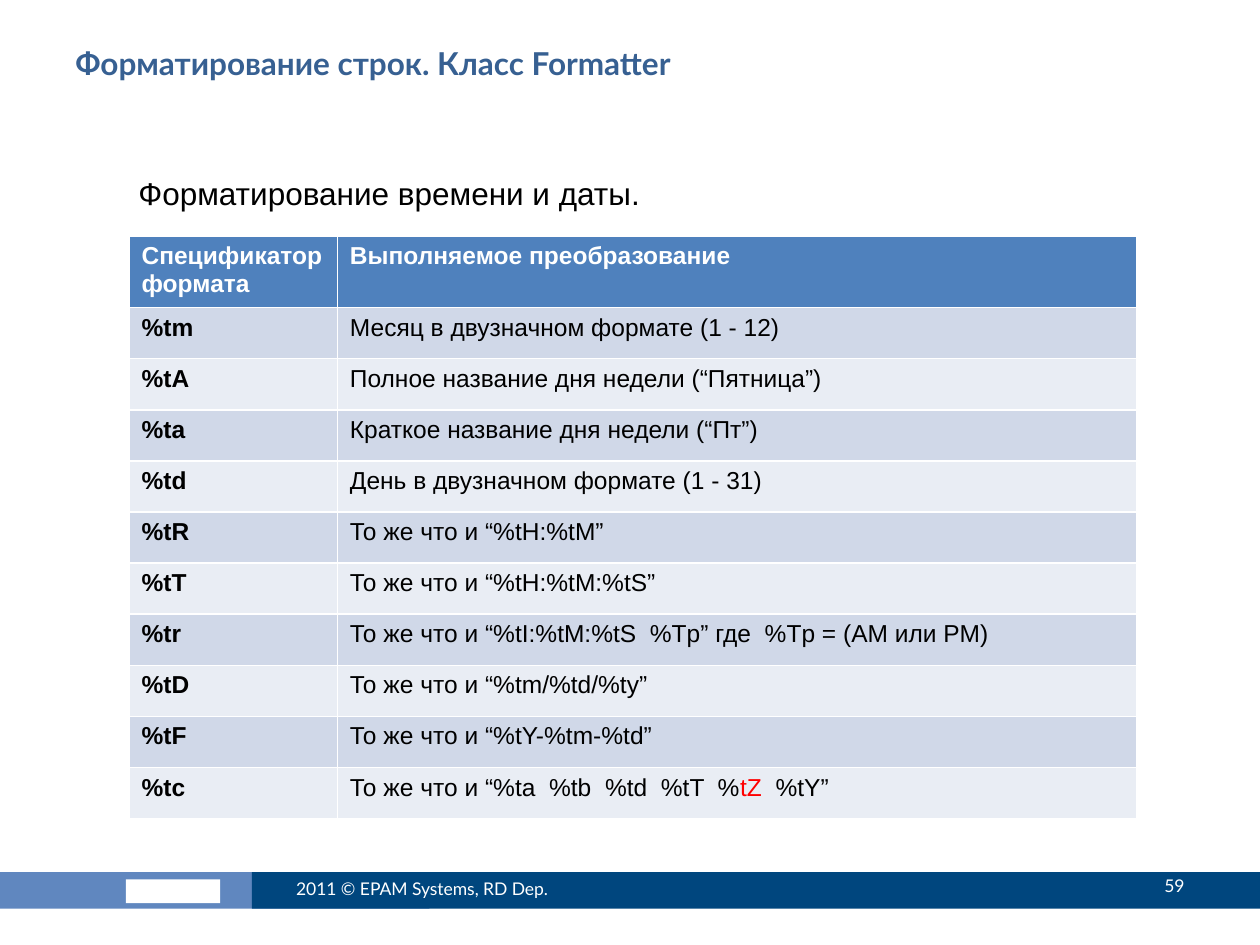
from dataclasses import dataclass
from pptx import Presentation
from pptx.dml.color import RGBColor
from pptx.enum.shapes import MSO_SHAPE
from pptx.enum.text import MSO_ANCHOR, PP_ALIGN
from pptx.util import Cm, Pt


@dataclass(frozen=True)
class Theme:
    heading: str = "376092"
    header: str = "4F81BD"
    bands: tuple = ("D0D8E8", "E9EDF4")
    light_bar: str = "6087BF"
    dark_bar: str = "00467E"
    white: str = "FFFFFF"
    black: str = "000000"
    accent: str = "FF0000"
    title_font: str = "Lato"
    body_font: str = "Arial"
    large: int = 18
    medium: int = 14
    small: int = 10


theme = Theme()


def style_run(r, font, size, color, bold=False):
    r.font.name = font
    r.font.size = Pt(size)
    r.font.bold = bold
    r.font.color.rgb = RGBColor.from_string(color)


prs = Presentation()
prs.slide_width, prs.slide_height = Cm(25.4), Cm(19.05)
s = prs.slides.add_slide(prs.slide_layouts[6])

bars = [
    (0, 17.58, 8.66, 0.74, theme.light_bar),
    (2.54, 17.73, 1.9, 0.48, theme.white),
    (5.08, 17.58, 20.32, 0.74, theme.dark_bar),
]
for left, top, width, height, color in bars:
    sp = s.shapes.add_shape(MSO_SHAPE.RECTANGLE, Cm(left), Cm(top), Cm(width), Cm(height))
    sp.shadow.inherit = False
    sp.fill.solid()
    sp.fill.fore_color.rgb = RGBColor.from_string(color)
    sp.line.fill.background()

top_anchor, middle = MSO_ANCHOR.TOP, MSO_ANCHOR.MIDDLE
left_align, right_align = PP_ALIGN.LEFT, PP_ALIGN.RIGHT
texts = [
    ("Форматирование строк. Класс Formatter", 1.27, 0.76, 22.86, 1.98,
     top_anchor, left_align, (theme.title_font, theme.large, theme.heading, True)),
    ("Форматирование времени и даты.", 2.54, 3.38, 20.32, 1.2,
     top_anchor, left_align, (theme.body_font, theme.large, theme.black)),
    ("2011 © EPAM Systems, RD Dep.", 5.72, 17.4, 6.78, 1.02,
     middle, left_align, (theme.title_font, theme.small, theme.white)),
    ("59", 21.39, 17.35, 2.74, 1.02,
     middle, right_align, (theme.title_font, theme.small, theme.white)),
]
for text, left, top, width, height, anchor, align, style in texts:
    tf = s.shapes.add_textbox(Cm(left), Cm(top), Cm(width), Cm(height)).text_frame
    tf.word_wrap = True
    tf.vertical_anchor = anchor
    tf.text = text
    p = tf.paragraphs[0]
    p.alignment = align
    style_run(p.runs[0], *style)

rows = [
    ("Спецификатор формата", "Выполняемое преобразование"),
    ("%tm", "Месяц в двузначном формате (1 - 12)"),
    ("%tA", "Полное название дня недели (“Пятница”)"),
    ("%ta", "Краткое название дня недели (“Пт”)"),
    ("%td", "День в двузначном формате (1 - 31)"),
    ("%tR", "То же что и “%tH:%tM”"),
    ("%tT", "То же что и “%tH:%tM:%tS”"),
    ("%tr", "То же что и “%tI:%tM:%tS  %Tp” где  %Tp = (AM или PM)"),
    ("%tD", "То же что и “%tm/%td/%ty”"),
    ("%tF", "То же что и “%tY-%tm-%td”"),
    ("%tc", "То же что и “%ta  %tb  %td  %tT  %tZ  %tY”"),
]
highlight = "tZ"
header_height, row_height = 1.33, 1.03
table_height = header_height + row_height * (len(rows) - 1)
table = s.shapes.add_table(
    len(rows), 2, Cm(2.6), Cm(4.76), Cm(20.32), Cm(table_height)).table
table.columns[0].width, table.columns[1].width = Cm(4.2), Cm(16.12)

for i, row in enumerate(rows):
    is_header = i == 0
    table.rows[i].height = Cm(header_height if is_header else row_height)
    fill = theme.header if is_header else theme.bands[(i - 1) % 2]
    color = theme.white if is_header else theme.black
    for j, text in enumerate(row):
        cell = table.cell(i, j)
        cell.fill.solid()
        cell.fill.fore_color.rgb = RGBColor.from_string(fill)
        before, match, after = text.partition(highlight)
        p = cell.text_frame.paragraphs[0]
        for part in filter(None, (before, match, after)):
            r = p.add_run()
            r.text = part
            style_run(r, theme.body_font, theme.medium,
                      theme.accent if part == highlight else color,
                      is_header or j == 0)

prs.save("out.pptx")
